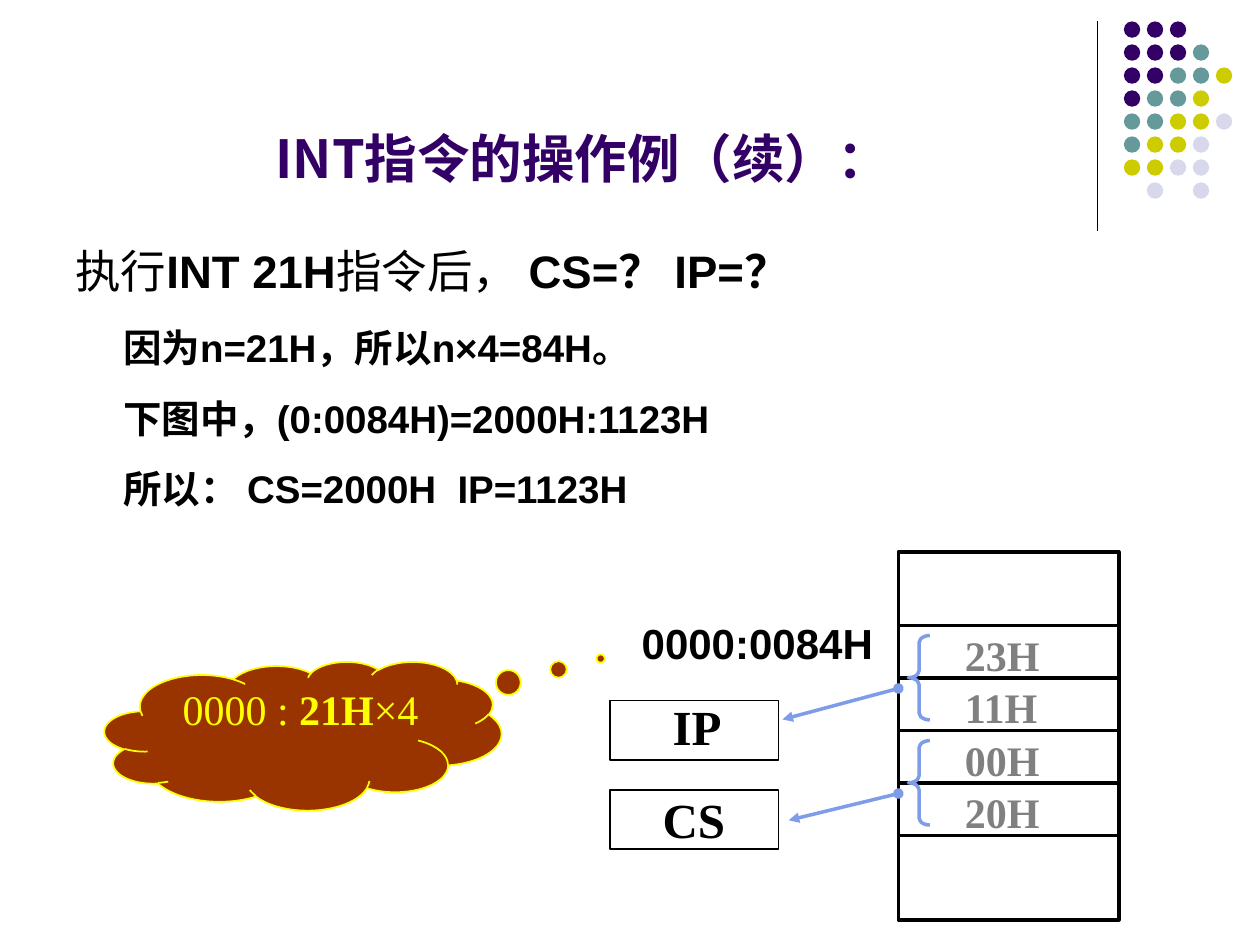
from dataclasses import dataclass
from typing import NamedTuple

from lxml.etree import SubElement
from pptx import Presentation
from pptx.dml.color import RGBColor
from pptx.enum.shapes import MSO_CONNECTOR as Connector, MSO_SHAPE as Shape
from pptx.enum.text import MSO_ANCHOR as Anchor, MSO_AUTO_SIZE as AutoSize, PP_ALIGN as Align
from pptx.oxml.ns import qn
from pptx.util import Inches, Pt


@dataclass(frozen=True)
class Theme:
    """Colours, fonts and type sizes of the slide."""
    black: str = "000000"
    purple: str = "330066"
    teal: str = "669999"
    olive: str = "CCCC00"
    lilac: str = "D8D8EC"
    grey: str = "808080"
    blue: str = "7E9CE8"
    brown: str = "993300"
    yellow: str = "FFFF00"
    cjk: str = "Noto Sans CJK SC"
    sans: str = "Arial"
    serif: str = "Times New Roman"
    title: int = 30
    lead: int = 26
    detail: int = 22
    label: int = 24
    register: int = 28


class Box(NamedTuple):
    """A rectangle in inches."""
    left: float
    top: float
    width: float
    height: float

    def emu(self):
        """Return the four lengths for python-pptx."""
        return [Inches(length) for length in self]


THEME = Theme()


def assign(target, formats):
    """Set each attribute named in formats."""
    for name, value in formats.items():
        setattr(target, name, value)


def write(paragraph, pieces, size, face, colour):
    """Write (wording, bold) pieces into a paragraph."""
    for wording, bold in pieces:
        run = paragraph.add_run()
        run.text = wording
        assign(run.font, {"size": Pt(size), "name": face, "bold": bold})
        run.font.color.rgb = RGBColor.from_string(colour)
        SubElement(run.font._element, qn("a:ea")).set("typeface", THEME.cjk)


def stroke(line, colour, width):
    """Give a line its colour and width."""
    line.color.rgb = RGBColor.from_string(colour)
    line.width = Pt(width)


def place_shape(shapes, kind, box, fill=None, line=None, width=1):
    """Add a flat preset shape."""
    shape = shapes.add_shape(kind, *box.emu())
    shape.shadow.inherit = False
    if fill:
        shape.fill.solid()
        shape.fill.fore_color.rgb = RGBColor.from_string(fill)
    else:
        shape.fill.background()
    if line:
        stroke(shape.line, line, width)
    else:
        shape.line.fill.background()
    return shape


def place_line(shapes, start, end, colour, width, ends=()):
    """Add a straight line with optional (tag, type) ends."""
    points = [Inches(length) for length in (*start, *end)]
    connector = shapes.add_connector(Connector.STRAIGHT, *points)
    stroke(connector.line, colour, width)
    for tag, kind in ends:
        SubElement(connector.line._get_or_add_ln(), qn(tag)).set("type", kind)
    SubElement(connector._element.spPr, qn("a:effectLst"))


def place_label(shapes, box, wording, size, face, colour, align=Align.LEFT, inset=0.1):
    """Add a bold one-line label."""
    frame = shapes.add_textbox(*box.emu()).text_frame
    assign(frame, {"word_wrap": True, "auto_size": AutoSize.SHAPE_TO_FIT_TEXT,
                   "margin_left": Inches(inset), "margin_right": Inches(inset)})
    paragraph = frame.paragraphs[0]
    paragraph.alignment = align
    write(paragraph, [(wording, True)], size, face, colour)


def draw_ornament(shapes, box):
    """Draw the rule and the dot grid in the corner."""
    place_line(shapes, (box.left, box.top), (box.left, box.top + box.height), THEME.black, 0.75)
    palette = {"P": THEME.purple, "T": THEME.teal, "Y": THEME.olive, "L": THEME.lilac}
    rows = ("PPP", "PPPT", "PPTTY", "PTTY", "TTYYL", "TYYL", "YYLL", ".L.L")
    dot = 0.13
    pitch = (box.width - 0.21 - dot) / 4
    dots = shapes.add_group_shape().shapes
    for row, codes in enumerate(rows):
        for column, code in enumerate(codes):
            if code in palette:
                spot = Box(box.left + 0.21 + column * pitch, box.top + row * pitch, dot, dot)
                place_shape(dots, Shape.OVAL, spot, palette[code])


def fill_title(title, box):
    """Place and write the title."""
    assign(title, dict(zip(("left", "top", "width", "height"), box.emu())))
    frame = title.text_frame
    assign(frame, {"vertical_anchor": Anchor.BOTTOM, "auto_size": AutoSize.NONE, "word_wrap": True})
    paragraph = frame.paragraphs[0]
    paragraph.alignment = Align.CENTER
    write(paragraph, [("INT指令的操作例（续）：", True)], THEME.title, THEME.cjk, THEME.purple)


def write_reasoning(shapes, box):
    """Write the question and the steps of its answer."""
    question = [("执行", False), ("INT 21H", True), ("指令后， ", False), ("CS=？ IP=？", True)]
    steps = ("因为n=21H，所以n×4=84H。", "下图中，(0:0084H)=2000H:1123H", "所以： CS=2000H  IP=1123H")
    frame = shapes.add_textbox(*box.emu()).text_frame
    frame.word_wrap = True
    lead = frame.paragraphs[0]
    lead.space_after = Pt(9.8)
    lead._p.get_or_add_pPr().set("marL", str(Inches(0.38)))
    lead._p.pPr.set("indent", str(Inches(-0.38)))
    write(lead, question, THEME.lead, THEME.sans, THEME.black)
    for step in steps:
        detail = frame.add_paragraph()
        assign(detail, {"level": 1, "space_before": Pt(5.5), "space_after": Pt(8.2)})
        detail._p.pPr.set("marL", str(Inches(0.76)))
        detail._p.pPr.set("indent", str(Inches(-0.38)))
        write(detail, [(step, True)], THEME.detail, THEME.sans, THEME.black)


def draw_memory(shapes, box):
    """Draw the memory column with its bytes and word pointers."""
    place_shape(shapes, Shape.RECTANGLE, box, line=THEME.black, width=2)
    stored = ("23H", "11H", "00H", "20H")
    row = box.height / 7
    edges = [box.top + box.height / 5 + index * row for index in range(len(stored) + 1)]
    for edge in edges:
        place_line(shapes, (box.left, edge), (box.left + box.width, edge), THEME.black, 2)
    address = Box(box.left - 2.29, edges[0] - 0.11, 2.18, 0.5)
    place_label(shapes, address, "0000:0084H ", THEME.label, THEME.sans, THEME.black, Align.RIGHT, 0)
    for edge, byte in zip(edges, stored):
        place_label(shapes, Box(box.left + 0.43, edge - 0.02, 1.17, 0.5), byte,
                    THEME.label, THEME.serif, THEME.grey)
    for edge, target in zip(edges[::2], ((6.21, 5.71), (6.26, 6.51))):
        brace = place_shape(shapes, Shape.LEFT_BRACE, Box(box.left + 0.08, edge + 0.08, 0.17, 0.67),
                            line=THEME.blue, width=2)
        brace.adjustments[0] = 0.33
        place_line(shapes, (box.left, edge + 0.5), target, THEME.blue, 2,
                   (("a:headEnd", "oval"), ("a:tailEnd", "triangle")))


def draw_registers(shapes, box):
    """Draw the two registers that receive the words."""
    height = 0.47
    labels = (("IP", 0.4, 0.67, -0.08), ("CS", 0.32, 0.75, -0.05))
    for index, (register, inset, width, shift) in enumerate(labels):
        top = box.top + index * (box.height - height)
        place_label(shapes, Box(box.left + inset, top + shift, width, 0.57), register,
                    THEME.register, THEME.serif, THEME.black)
        place_shape(shapes, Shape.RECTANGLE, Box(box.left, top, box.width, height), line=THEME.black)


def draw_cloud(shapes, box):
    """Draw the cloud that explains the vector address."""
    cloud = place_shape(shapes, Shape.CLOUD_CALLOUT, box, THEME.brown, THEME.yellow)
    cloud.adjustments[0], cloud.adjustments[1] = 0.75, -0.52
    frame = cloud.text_frame
    assign(frame, {"vertical_anchor": Anchor.TOP, "word_wrap": True, "margin_left": 0,
                   "margin_right": 0, "margin_top": 0, "margin_bottom": 0})
    paragraph = frame.paragraphs[0]
    paragraph.alignment = Align.RIGHT
    write(paragraph, [("0000 : ", False), ("21H", True), ("×4", False)],
          THEME.label, THEME.serif, THEME.yellow)


def main():
    """Build and save the slide."""
    deck = Presentation()
    deck.slide_width, deck.slide_height = Inches(10), Inches(7.5)
    slide = deck.slides.add_slide(deck.slide_layouts[5])
    shapes = slide.shapes
    draw_ornament(shapes, Box(8.71, 0.17, 1.07, 1.66))
    fill_title(shapes.title, Box(0.5, 0.4, 8.25, 1.15))
    write_reasoning(shapes, Box(0.5, 1.88, 9, 4.82))
    draw_memory(shapes, Box(7.13, 4.38, 1.75, 2.92))
    draw_cloud(shapes, Box(0.83, 5.25, 3.15, 1.18))
    draw_registers(shapes, Box(4.84, 5.56, 1.34, 1.18))
    deck.save("out.pptx")


if __name__ == "__main__":
    main()
